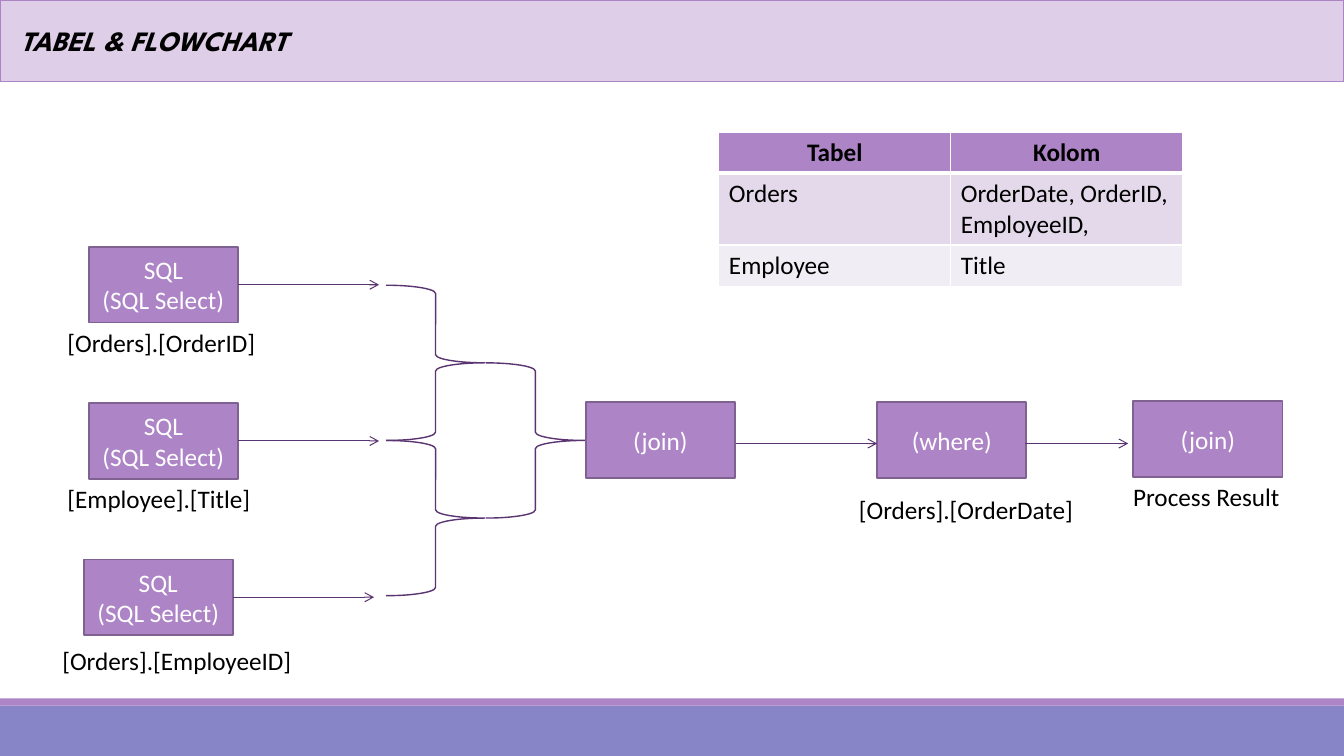
import pptx
import pptx.dml.color
import pptx.enum.shapes
import pptx.enum.text
import pptx.oxml
import pptx.oxml.ns
import pptx.util
from pptx.util import Inches

PURPLE = "AD84C6"
LINE_PURPLE = "5A3471"
WHITE = "FFFFFF"
BLACK = "000000"
BOX_WIDTH, BOX_HEIGHT = 1.48, 0.75
SHAPES = pptx.enum.shapes.MSO_SHAPE
ALIGN = pptx.enum.text.PP_ALIGN
ANCHOR = pptx.enum.text.MSO_ANCHOR


def color(value):
    return pptx.dml.color.RGBColor.from_string(value)


def format_text(text_frame, font_color, size=18, font="Calibri", bold=False, italic=False, align=ALIGN.LEFT):
    for paragraph in text_frame.paragraphs:
        paragraph.alignment = align
        for run in paragraph.runs:
            run.font.name = font
            run.font.size = pptx.util.Pt(size)
            run.font.bold = bold
            run.font.italic = italic
            run.font.color.rgb = color(font_color)


def add_shape(slide, kind, left, top, width, height, fill=None, line=None, line_width=1):
    shape = slide.shapes.add_shape(kind, Inches(left), Inches(top), Inches(width), Inches(height))
    shape.shadow.inherit = False
    if fill:
        shape.fill.solid()
        shape.fill.fore_color.rgb = color(fill)
    else:
        shape.fill.background()
    if line:
        shape.line.color.rgb = color(line)
        shape.line.width = pptx.util.Pt(line_width)
    else:
        shape.line.fill.background()
    return shape


def add_box(slide, text, left, top):
    box = add_shape(slide, SHAPES.RECTANGLE, left, top, BOX_WIDTH, BOX_HEIGHT, PURPLE, "806292", 1.25)
    box.text_frame.text = text
    box.text_frame.vertical_anchor = ANCHOR.MIDDLE
    format_text(box.text_frame, WHITE, align=ALIGN.CENTER)
    return box


def add_label(slide, text, left, top, width):
    label = slide.shapes.add_textbox(Inches(left), Inches(top), Inches(width), Inches(0.4))
    label.text_frame.word_wrap = False
    label.text_frame.auto_size = pptx.enum.text.MSO_AUTO_SIZE.SHAPE_TO_FIT_TEXT
    label.text_frame.text = text
    format_text(label.text_frame, BLACK)


def add_arrow(slide, left, right, y):
    arrow = slide.shapes.add_connector(
        pptx.enum.shapes.MSO_CONNECTOR.STRAIGHT, Inches(left), Inches(y), Inches(right), Inches(y))
    arrow.line.color.rgb = color(LINE_PURPLE)
    arrow.line.width = pptx.util.Pt(0.75)
    head = pptx.oxml.parse_xml(f'<a:tailEnd {pptx.oxml.ns.nsdecls("a")} type="arrow"/>')
    arrow.line._get_or_add_ln().append(head)
    arrow.element.spPr.append(pptx.oxml.parse_xml(f'<a:effectLst {pptx.oxml.ns.nsdecls("a")}/>'))
    return arrow


def add_header(slide, left, top, width, height):
    banner = add_shape(slide, SHAPES.RECTANGLE, left, top, width, height, "DECEE8", PURPLE)
    title = slide.shapes.title
    title.element.addprevious(banner.element)
    title.left, title.top = Inches(left + 0.1), Inches(top + 0.2)
    title.width, title.height = Inches(12.3), Inches(0.45)
    title.text_frame.text = "TABEL & FLOWCHART"
    title.text_frame.vertical_anchor = ANCHOR.MIDDLE
    title.text_frame.paragraphs[0].line_spacing = 0.9
    format_text(title.text_frame, BLACK, 20, "League Spartan", True, True)


def add_footer(slide, left, top, width, height):
    stripe = 0.07
    add_shape(slide, SHAPES.RECTANGLE, left, top + stripe, width, height - stripe, "8784C7")
    add_shape(slide, SHAPES.RECTANGLE, left, top, width, stripe, PURPLE)


def set_borders(cell, top_width, bottom_width):
    properties = cell._tc.get_or_add_tcPr()
    for side, points in (("L", 1), ("R", 1), ("T", top_width), ("B", bottom_width)):
        properties.append(pptx.oxml.parse_xml(
            f'<a:ln{side} {pptx.oxml.ns.nsdecls("a")} w="{pptx.util.Pt(points)}">'
            f'<a:solidFill><a:srgbClr val="{WHITE}"/></a:solidFill></a:ln{side}>'))


def add_column_table(slide, left, top, width):
    rows = [
        ("Tabel", "Kolom", 0.41, PURPLE),
        ("Orders", "OrderDate, OrderID, EmployeeID,", 0.69, "E3D9EA"),
        ("Employee", "Title", 0.41, "F1EDF5"),
    ]
    height = sum(row[2] for row in rows)
    table = slide.shapes.add_table(
        len(rows), 2, Inches(left), Inches(top), Inches(width), Inches(height)).table
    for row_index, (name, fields, row_height, fill) in enumerate(rows):
        table.rows[row_index].height = Inches(row_height)
        is_header = row_index == 0
        for column_index, text in enumerate((name, fields)):
            cell = table.cell(row_index, column_index)
            set_borders(cell, 3 if row_index == 1 else 1, 3 if is_header else 1)
            cell.fill.solid()
            cell.fill.fore_color.rgb = color(fill)
            cell.text_frame.text = text
            format_text(cell.text_frame, BLACK, bold=is_header,
                        align=ALIGN.CENTER if is_header else ALIGN.LEFT)


def add_select_step(slide, left, top, label, label_width, label_gap=0):
    box = add_box(slide, "SQL\n(SQL Select)", left, top)
    add_label(slide, label, left - 0.31, top + BOX_HEIGHT + label_gap, label_width)
    right = left + BOX_WIDTH
    arrow = add_arrow(slide, right, right + 1.4, top + BOX_HEIGHT / 2)
    arrow.begin_connect(box, 3)


def add_braces(slide, left, top):
    width, height = 0.98, 1.54
    for x, y in ((0, 0), (0, height), (width + 0.01, height / 2)):
        add_shape(slide, SHAPES.RIGHT_BRACE, left + x, top + y, width, height, line=LINE_PURPLE)


def add_result_steps(slide, left, top):
    add_box(slide, "(join)", left, top)
    add_box(slide, "(where)", left + 2.89, top)
    add_box(slide, "(join)", left + 5.43, top - 0.01)
    add_label(slide, "[Orders].[OrderDate]", left + 2.61, top + 0.87, 2.35)
    add_label(slide, "Process Result", left + 5.33, top + 0.74, 1.67)
    for start, end in ((1.49, 2.89), (4.36, 5.38)):
        add_arrow(slide, left + start, left + end, top + 0.41)


def main():
    presentation = pptx.Presentation()
    presentation.slide_width = Inches(13.33)
    presentation.slide_height = Inches(7.5)
    slide = presentation.slides.add_slide(presentation.slide_layouts[5])
    add_footer(slide, 0, 6.93, 13.33, 0.57)
    add_column_table(slide, 7.13, 1.31, 4.6)
    add_select_step(slide, 0.88, 2.45, "[Orders].[OrderID]", 2.08)
    add_select_step(slide, 0.88, 4, "[Employee].[Title]", 2.03)
    add_select_step(slide, 0.83, 5.55, "[Orders].[EmployeeID]", 2.5, 0.05)
    add_braces(slide, 3.83, 2.83)
    add_result_steps(slide, 5.81, 3.99)
    add_header(slide, 0, 0, 13.33, 0.81)
    presentation.save("out.pptx")


if __name__ == "__main__":
    main()
